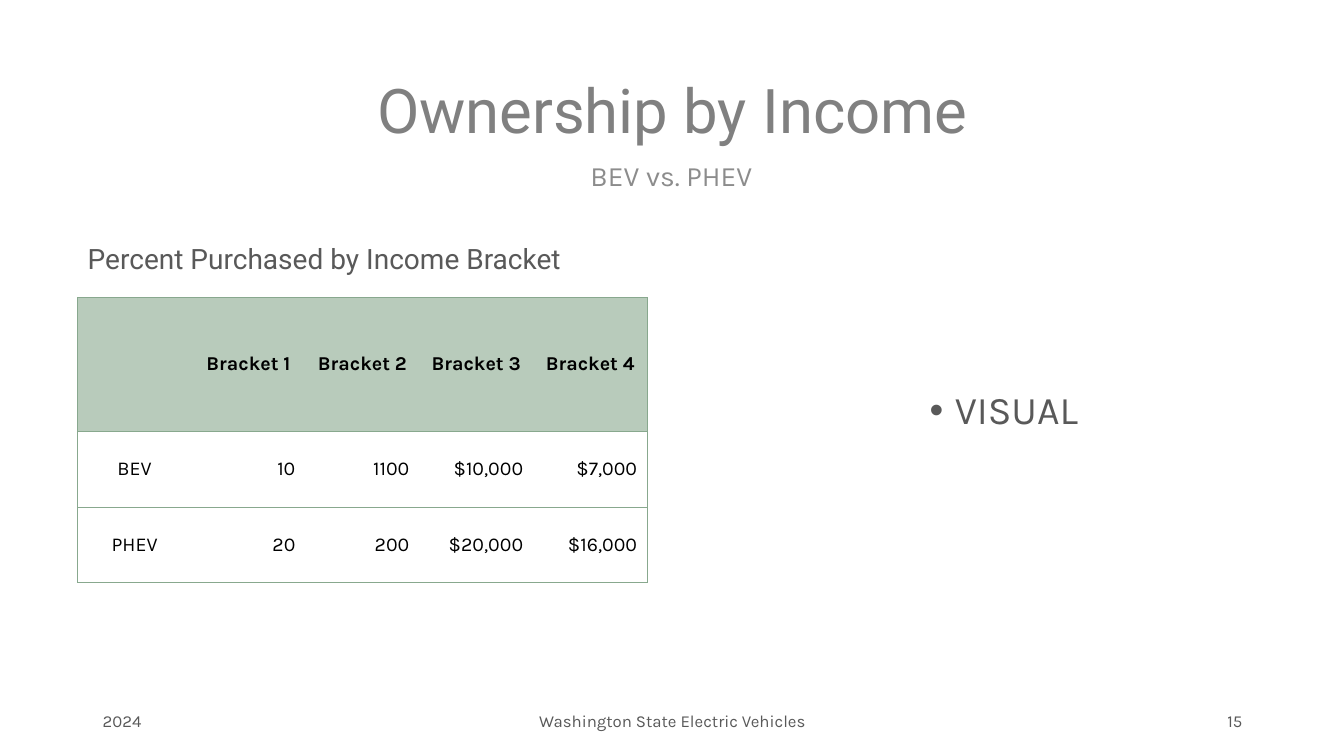
from dataclasses import dataclass
from typing import Any

import lxml.etree
import pptx
import pptx.dml.color
import pptx.enum.text
import pptx.oxml.ns
import pptx.util

Inches = pptx.util.Inches
Pt = pptx.util.Pt
RGBColor = pptx.dml.color.RGBColor
Align = pptx.enum.text.PP_ALIGN
Anchor = pptx.enum.text.MSO_ANCHOR
qn = pptx.oxml.ns.qn

TITLE_GRAY = RGBColor(0x80, 0x80, 0x80)
SUBTITLE_GRAY = RGBColor(0x8C, 0x8C, 0x8C)
TEXT_GRAY = RGBColor(0x59, 0x59, 0x59)
BLACK = RGBColor(0, 0, 0)
HEADER_GREEN = RGBColor(0xB8, 0xCB, 0xBB)
BORDER_GREEN = RGBColor(0x88, 0xA8, 0x8E)

LINE_WIDTH = Pt(0.5)
COLUMN_WIDTH = 1.13
ROW_HEIGHTS = (1.33, 0.75, 0.75)
INCOME_ROWS = (
    ("", "Bracket 1", "Bracket 2", "Bracket 3", "Bracket 4"),
    ("BEV", "10", "1100", "$10,000", "$7,000"),
    ("PHEV", "20", "200", "$20,000", "$16,000"),
)


@dataclass
class Label:
    text: str
    box: tuple[float, float, float, float]
    size: float
    font: str = "Karla"
    color: RGBColor = TEXT_GRAY
    align: Align = Align.LEFT
    anchor: Anchor = Anchor.MIDDLE
    spacing: float = 0.9
    bullet: bool = False


# Placeholder index in the layout -> content
PLACEHOLDER_LABELS = {
    0: Label("Ownership by Income", (0.92, 0.4, 11.5, 1.45), 44, "Roboto",
             TITLE_GRAY, Align.CENTER),
    1: Label("BEV vs. PHEV", (0.91, 1.56, 11.5, 0.5), 20, color=SUBTITLE_GRAY,
             align=Align.CENTER, anchor=Anchor.TOP),
    3: Label("Percent Purchased by Income Bracket", (0.77, 2.33, 5.5, 0.5), 20,
             "Roboto"),
    2: Label("VISUAL", (9.12, 3.83, 2.77, 0.72), 28, anchor=Anchor.TOP,
             bullet=True),
}
FOOTER_LABELS = (
    Label("2024", (0.92, 6.95, 3, 0.4), 12, spacing=1),
    Label("Washington State Electric Vehicles", (4.42, 6.95, 4.5, 0.4), 12,
          align=Align.CENTER, spacing=1),
    Label("15", (9.42, 6.95, 3, 0.4), 12, align=Align.RIGHT, spacing=1),
)


def apply_format(target: Any, values: dict[str, Any]) -> None:
    for name, value in values.items():
        setattr(target, name, value)


def format_font(font: Any, name: str, size: float, color: RGBColor,
                bold: bool = False) -> None:
    apply_format(font, {"name": name, "size": Pt(size), "bold": bold})
    font.color.rgb = color


def fill_label(shape: Any, label: Label) -> None:
    left, top, width, height = map(Inches, label.box)
    apply_format(shape, {"left": left, "top": top, "width": width, "height": height})
    frame = shape.text_frame
    apply_format(frame, {
        "text": label.text, "word_wrap": True, "vertical_anchor": label.anchor,
        "auto_size": pptx.enum.text.MSO_AUTO_SIZE.NONE,
    })
    paragraph = frame.paragraphs[0]
    if label.bullet:
        properties = paragraph._p.get_or_add_pPr()
        properties.set("marL", str(Inches(0.25)))
        properties.set("indent", str(Inches(-0.25)))
        lxml.etree.SubElement(properties, qn("a:buChar"), char="•")
    apply_format(paragraph, {
        "alignment": label.align, "line_spacing": label.spacing, "space_before": Pt(0),
    })
    format_font(paragraph.runs[0].font, label.font, label.size, label.color)


def set_borders(cell: Any, sides: str) -> None:
    properties = cell._tc.get_or_add_tcPr()
    for side in "LRTB":
        line = lxml.etree.SubElement(properties, qn(f"a:ln{side}"), w=str(LINE_WIDTH))
        if side in sides:
            fill = lxml.etree.SubElement(line, qn("a:solidFill"))
            lxml.etree.SubElement(fill, qn("a:srgbClr"), val=str(BORDER_GREEN))
        else:
            lxml.etree.SubElement(line, qn("a:noFill"))


def add_income_table(slide: Any) -> None:
    columns = len(INCOME_ROWS[0])
    table = slide.shapes.add_table(
        len(INCOME_ROWS), columns, Inches(0.77), Inches(2.95),
        Inches(COLUMN_WIDTH * columns), Inches(sum(ROW_HEIGHTS))).table
    apply_format(table, {"first_row": False, "horz_banding": False})
    for column in table.columns:
        column.width = Inches(COLUMN_WIDTH)
    for r, (height, texts) in enumerate(zip(ROW_HEIGHTS, INCOME_ROWS)):
        table.rows[r].height = Inches(height)
        is_header = r == 0
        for c, text in enumerate(texts):
            cell = table.cell(r, c)
            # Horizontal rules everywhere, vertical ones only on the outside
            set_borders(cell, "TB" + "L" * (c == 0) + "R" * (c == columns - 1))
            if is_header:
                cell.fill.solid()
                cell.fill.fore_color.rgb = HEADER_GREEN
            else:
                cell.fill.background()
            apply_format(cell, {"text": text, "vertical_anchor": Anchor.MIDDLE})
            paragraph = cell.text_frame.paragraphs[0]
            paragraph.alignment = Align.CENTER if is_header or c == 0 else Align.RIGHT
            format_font(paragraph.font, "Karla", 14, BLACK, is_header)


def main() -> None:
    deck = pptx.Presentation()
    apply_format(deck, {"slide_width": Inches(13.33), "slide_height": Inches(7.5)})
    slide = deck.slides.add_slide(deck.slide_layouts.get_by_name("Comparison"))

    # Title, subtitle, table heading and list
    for placeholder in list(slide.placeholders):
        label = PLACEHOLDER_LABELS.get(placeholder.placeholder_format.idx)
        if label:
            fill_label(placeholder, label)
        else:
            placeholder.element.getparent().remove(placeholder.element)

    # Income table
    add_income_table(slide)

    # Footer
    for label in FOOTER_LABELS:
        fill_label(slide.shapes.add_textbox(*map(Inches, label.box)), label)

    deck.save("out.pptx")


if __name__ == "__main__":
    main()
